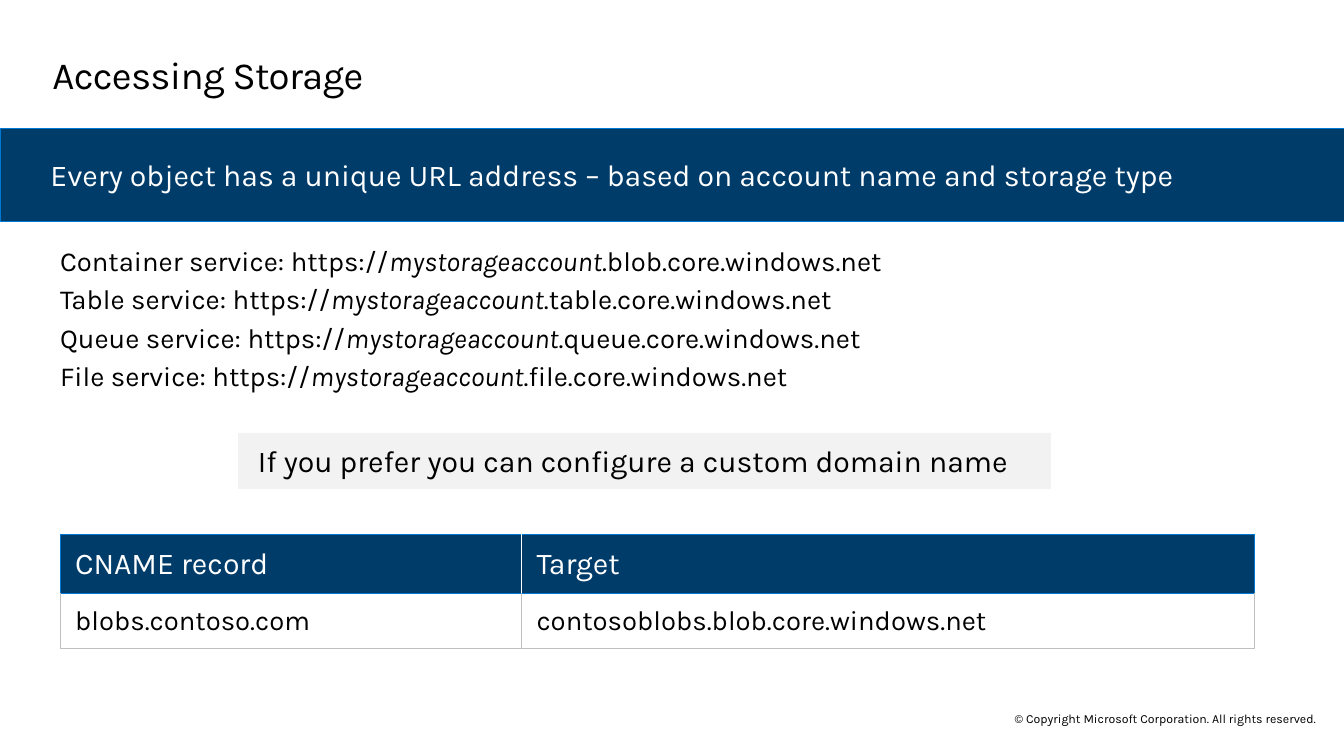
from dataclasses import dataclass

from lxml.etree import SubElement
from pptx import Presentation
from pptx.dml.color import RGBColor
from pptx.enum.shapes import MSO_SHAPE
from pptx.enum.text import MSO_ANCHOR, PP_ALIGN
from pptx.oxml.ns import qn
from pptx.slide import Slide
from pptx.table import _Cell
from pptx.text.text import TextFrame, _Paragraph, _Run
from pptx.util import Pt


@dataclass(frozen=True)
class Theme:
    font: str = "Karla"
    black: str = "000000"
    white: str = "FFFFFF"
    navy: str = "003C6A"
    blue: str = "0078D3"
    pale: str = "F2F2F2"
    gray: str = "BFBFBF"
    title: float = 28
    heading: float = 22
    body: float = 20
    small: float = 9
    line: float = 0.5


@dataclass(frozen=True)
class Area:
    left: float
    top: float
    width: float
    height: float

    def lengths(self) -> tuple[Pt, Pt, Pt, Pt]:
        return Pt(self.left), Pt(self.top), Pt(self.width), Pt(self.height)


@dataclass(frozen=True)
class Banner:
    area: Area
    text: str
    fill: str
    outline: str
    color: str
    indent: float


@dataclass(frozen=True)
class Service:
    label: str
    endpoint: str


THEME = Theme()

BANNERS = [
    Banner(Area(0, 93.6, 979.2, 67.7),
           "Every object has a unique URL address – based on account name and storage type",
           THEME.navy, THEME.blue, THEME.white, 36.7),
    Banner(Area(173.5, 315.4, 591.8, 40.3),
           "If you prefer you can configure a custom domain name",
           THEME.pale, THEME.pale, THEME.black, 14.4),
]
SERVICES = [
    Service("Container", "blob"),
    Service("Table", "table"),
    Service("Queue", "queue"),
    Service("File", "file"),
]
RECORDS = [
    ("CNAME record", "Target"),
    ("blobs.contoso.com", "contosoblobs.blob.core.windows.net"),
]
COLUMN_WIDTHS = (336.2, 533.5)
ROW_HEIGHTS = (43, 40)


def style_run(span: _Run, size: float, color: str, italic: bool = False) -> None:
    span.font.name = THEME.font
    span.font.size = Pt(size)
    span.font.color.rgb = RGBColor.from_string(color)
    if italic:
        span.font.italic = True


def set_margins(frame: TextFrame, side: float, upright: float) -> None:
    frame.margin_left = frame.margin_right = Pt(side)
    frame.margin_top = frame.margin_bottom = Pt(upright)


def write_line(frame: TextFrame, text: str, size: float, color: str) -> _Paragraph:
    frame.text = text
    para = frame.paragraphs[0]
    style_run(para.runs[0], size, color)
    return para


def add_text_box(page: Slide, area: Area) -> TextFrame:
    frame = page.shapes.add_textbox(*area.lengths()).text_frame
    frame.word_wrap = True
    return frame


def add_banner(page: Slide, banner: Banner) -> None:
    box = page.shapes.add_shape(MSO_SHAPE.RECTANGLE, *banner.area.lengths())
    box.shadow.inherit = False
    box.fill.solid()
    box.fill.fore_color.rgb = RGBColor.from_string(banner.fill)
    box.line.color.rgb = RGBColor.from_string(banner.outline)
    box.line.width = Pt(THEME.line)
    frame = box.text_frame
    set_margins(frame, 14.4, 10.8)
    frame.margin_left = Pt(banner.indent)
    frame.vertical_anchor = MSO_ANCHOR.MIDDLE
    para = write_line(frame, banner.text, THEME.heading, banner.color)
    para.alignment = PP_ALIGN.LEFT


def add_services(page: Slide, area: Area) -> None:
    frame = add_text_box(page, area)
    for index, service in enumerate(SERVICES):
        para = frame.add_paragraph() if index else frame.paragraphs[0]
        if index:
            para.space_before = Pt(4)
        parts = (f"{service.label} service: https://", "mystorageaccount",
                 f".{service.endpoint}.core.windows.net")
        for position, text in enumerate(parts):
            span = para.add_run()
            span.text = text
            style_run(span, THEME.body, THEME.black, italic=position == 1)


def set_borders(cell: _Cell, left: str, right: str, top: str, bottom: str) -> None:
    properties = cell._tc.get_or_add_tcPr()
    sides = (("a:lnL", left), ("a:lnR", right), ("a:lnT", top), ("a:lnB", bottom))
    for position, (tag, color) in enumerate(sides):
        border = SubElement(properties, qn(tag), w=str(Pt(THEME.line)))
        properties.insert(position, border)  # Borders precede the cell fill
        fill = SubElement(border, qn("a:solidFill"))
        SubElement(fill, qn("a:srgbClr"), val=color)


def add_records(page: Slide, left: float, top: float) -> None:
    area = Area(left, top, sum(COLUMN_WIDTHS), sum(ROW_HEIGHTS))
    table = page.shapes.add_table(len(RECORDS), len(COLUMN_WIDTHS), *area.lengths()).table
    for column, width in zip(table.columns, COLUMN_WIDTHS):
        column.width = Pt(width)
    for row_index, record in enumerate(RECORDS):
        table.rows[row_index].height = Pt(ROW_HEIGHTS[row_index])
        header = row_index == 0
        outer = THEME.blue if header else THEME.gray
        inner = THEME.white if header else THEME.gray
        for column_index, text in enumerate(record):
            cell = table.cell(row_index, column_index)
            cell.fill.solid()
            cell.fill.fore_color.rgb = RGBColor.from_string(THEME.navy if header else THEME.white)
            first = column_index == 0
            set_borders(cell, outer if first else inner, inner if first else outer,
                        THEME.blue, outer)
            cell.margin_left = cell.margin_right = Pt(10.8)
            cell.margin_top = cell.margin_bottom = Pt(7.2)
            para = write_line(cell.text_frame, text,
                              THEME.heading if header else THEME.body,
                              THEME.white if header else THEME.black)
            para.line_spacing = 1.07


def main() -> None:
    deck = Presentation()
    deck.slide_width, deck.slide_height = Pt(979.2), Pt(550.8)
    page = deck.slides.add_slide(deck.slide_layouts[6])

    # Copyright line
    frame = add_text_box(page, Area(718.6, 518.4, 260.6, 10.8))
    set_margins(frame, 0, 0)
    frame.vertical_anchor = MSO_ANCHOR.MIDDLE
    para = write_line(frame, "© Copyright Microsoft Corporation. All rights reserved.",
                      THEME.small, THEME.black)
    para.alignment = PP_ALIGN.CENTER

    # Title
    frame = add_text_box(page, Area(38.2, 38.9, 907.9, 32.4))
    set_margins(frame, 0, 0)
    para = write_line(frame, "Accessing Storage", THEME.title, THEME.black)
    para.line_spacing = Pt(32)
    para.runs[0]._r.get_or_add_rPr().set("spc", "-50")

    # Banners, service addresses and domain records
    for banner in BANNERS:
        add_banner(page, banner)
    add_services(page, Area(36.7, 174.2, 705.6, 116.6))
    add_records(page, 43.9, 389.5)

    deck.save("out.pptx")


if __name__ == "__main__":
    main()
